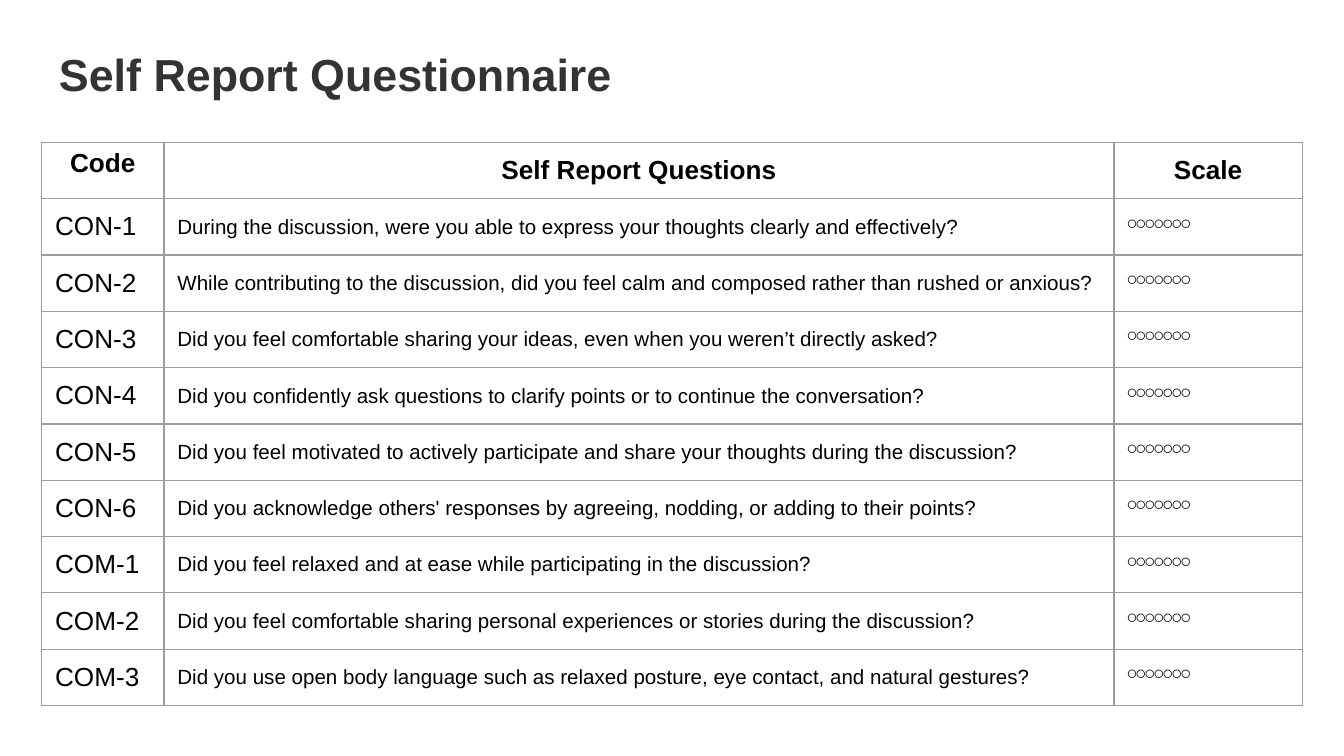
from dataclasses import dataclass

from lxml.etree import SubElement
from pptx import Presentation
from pptx.dml.color import RGBColor
from pptx.enum.text import MSO_ANCHOR, PP_ALIGN
from pptx.oxml.ns import qn
from pptx.util import Inches, Pt


@dataclass(frozen=True)
class Theme:
    font: str = "Arial"
    title_color: str = "333333"
    text_color: str = "000000"
    fill_color: str = "FFFFFF"
    border_color: str = "9E9E9E"
    border_width: float = 0.75
    title_size: int = 24
    label_size: int = 14
    question_size: int = 11
    scale_size: int = 8
    line_spacing: float = 1.15


@dataclass(frozen=True)
class Question:
    code: str
    wording: str


THEME = Theme()
PAGE_WIDTH = 10
PAGE_HEIGHT = PAGE_WIDTH * 9 / 16
SCALE = "⚪" * 7
HEADERS = ("Code", "Self Report Questions", "Scale")
COLUMN_WIDTHS = (0.91, 7.07, 1.4)
TABLE_HEIGHT = 4.18
QUESTIONS = (
    Question("CON-1", "During the discussion, were you able to express your thoughts clearly and effectively?"),
    Question("CON-2", "While contributing to the discussion, did you feel calm and composed rather than rushed or anxious?"),
    Question("CON-3", "Did you feel comfortable sharing your ideas, even when you weren’t directly asked?"),
    Question("CON-4", "Did you confidently ask questions to clarify points or to continue the conversation?"),
    Question("CON-5", "Did you feel motivated to actively participate and share your thoughts during the discussion?"),
    Question("CON-6", "Did you acknowledge others' responses by agreeing, nodding, or adding to their points?"),
    Question("COM-1", "Did you feel relaxed and at ease while participating in the discussion?"),
    Question("COM-2", "Did you feel comfortable sharing personal experiences or stories during the discussion?"),
    Question("COM-3", "Did you use open body language such as relaxed posture, eye contact, and natural gestures?"),
)


def write_text(frame, text: str, *, size: int, color: str = THEME.text_color,
               bold: bool = False, align=PP_ALIGN.LEFT,
               spacing: float | None = None) -> None:
    para = frame.paragraphs[0]
    para.alignment = align
    para.line_spacing = spacing
    span = para.add_run()
    span.text = text
    span.font.name = THEME.font
    span.font.size = Pt(size)
    span.font.bold = bold
    span.font.color.rgb = RGBColor.from_string(color)


def set_margins(holder, margin: float) -> None:
    holder.margin_left = holder.margin_right = Inches(margin)
    holder.margin_top = holder.margin_bottom = Inches(margin)


def draw_borders(cell) -> None:
    properties = cell._tc.get_or_add_tcPr()
    for side in ("lnL", "lnR", "lnT", "lnB"):
        line = SubElement(properties, qn(f"a:{side}"), w=str(Pt(THEME.border_width)))
        fill = SubElement(line, qn("a:solidFill"))
        SubElement(fill, qn("a:srgbClr"), val=THEME.border_color)


def fill_cell(cell, text: str, *, margin: float = 0.1, **text_format) -> None:
    set_margins(cell, margin)
    draw_borders(cell)
    cell.fill.solid()
    cell.fill.fore_color.rgb = RGBColor.from_string(THEME.fill_color)
    write_text(cell.text_frame, text, **text_format)


def draw_title(page) -> None:
    box = page.shapes.add_textbox(Inches(0.34), Inches(0.19), Inches(9.32), Inches(0.66))
    frame = box.text_frame
    frame.word_wrap = True
    frame.vertical_anchor = MSO_ANCHOR.BOTTOM
    set_margins(frame, 0.1)
    write_text(frame, "Self Report Questionnaire", size=THEME.title_size,
               color=THEME.title_color, bold=True, spacing=THEME.line_spacing)


def draw_questionnaire(page) -> None:
    row_count = len(QUESTIONS) + 1
    table = page.shapes.add_table(
        row_count, len(HEADERS), Inches(0.31), Inches(1.06),
        Inches(sum(COLUMN_WIDTHS)), Inches(TABLE_HEIGHT)).table
    table.first_row = table.horz_banding = False
    for column, width in zip(table.columns, COLUMN_WIDTHS):
        column.width = Inches(width)
    for index, header in enumerate(HEADERS):
        fill_cell(table.cell(0, index), header, margin=0.1 if index else 0.05,
                  size=THEME.label_size, bold=True, align=PP_ALIGN.CENTER)
    for index, question in enumerate(QUESTIONS, start=1):
        fill_cell(table.cell(index, 0), question.code, size=THEME.label_size)
        fill_cell(table.cell(index, 1), question.wording,
                  size=THEME.question_size, spacing=THEME.line_spacing)
        fill_cell(table.cell(index, 2), SCALE,
                  size=THEME.scale_size, spacing=THEME.line_spacing)


def main() -> None:
    deck = Presentation()
    deck.slide_width, deck.slide_height = Inches(PAGE_WIDTH), Inches(PAGE_HEIGHT)
    page = deck.slides.add_slide(deck.slide_layouts[6])
    draw_questionnaire(page)
    draw_title(page)
    deck.save("out.pptx")


if __name__ == "__main__":
    main()
